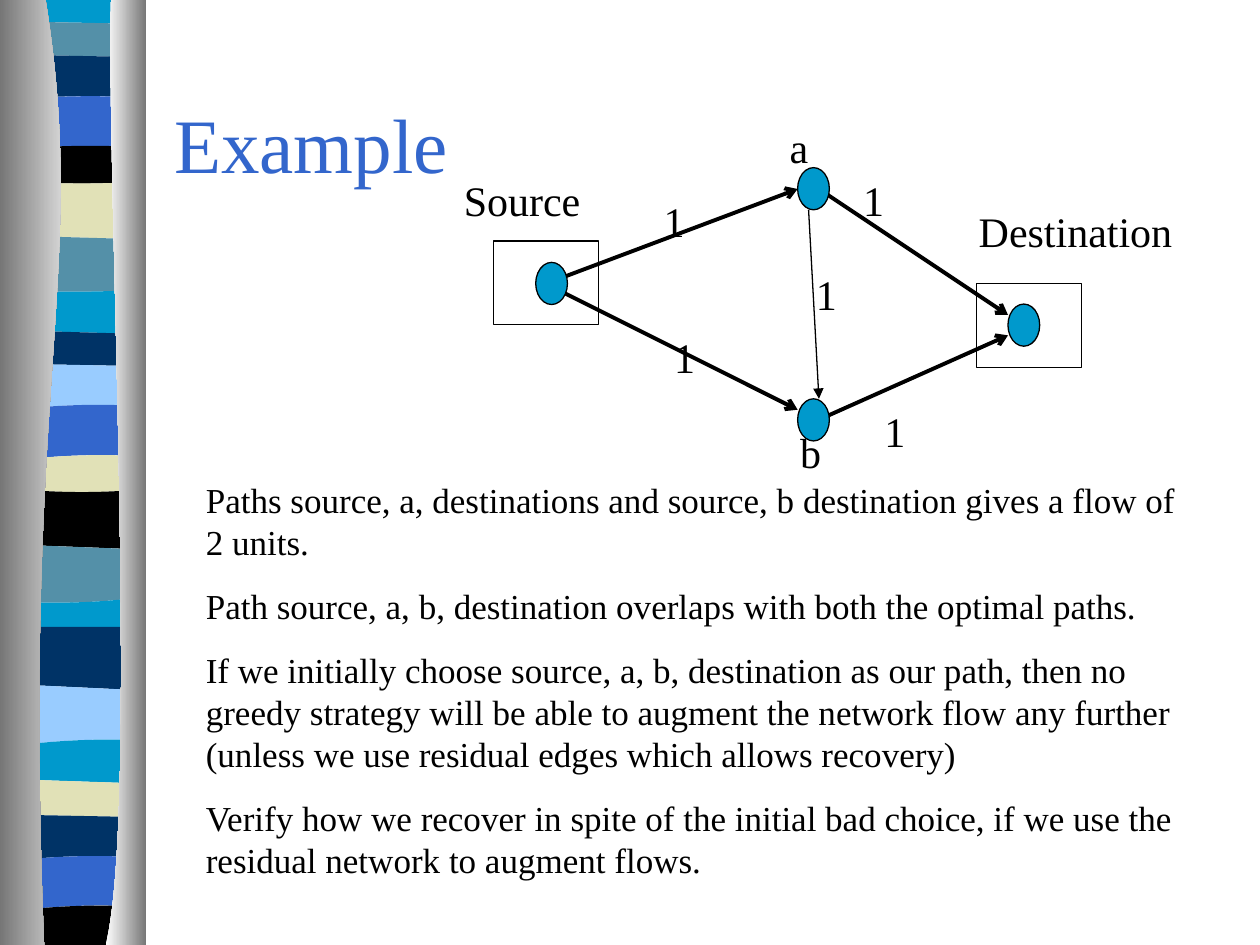
from lxml.etree import Element, SubElement
from pptx import Presentation
from pptx.dml.color import RGBColor
from pptx.enum.shapes import MSO_CONNECTOR, MSO_SHAPE
from pptx.enum.text import MSO_ANCHOR, MSO_AUTO_SIZE, PP_ALIGN
from pptx.oxml.ns import qn
from pptx.util import Cm, Pt

FONT = "Times New Roman"
BLACK = RGBColor(0x00, 0x00, 0x00)
WHITE = RGBColor(0xFF, 0xFF, 0xFF)
GRAY = RGBColor(0x76, 0x76, 0x76)
CYAN = RGBColor(0x00, 0x99, 0xCC)
TEAL = RGBColor(0x54, 0x90, 0xA8)
NAVY = RGBColor(0x00, 0x33, 0x66)
BLUE = RGBColor(0x33, 0x66, 0xCC)
SAND = RGBColor(0xE1, 0xE1, 0xB7)
SKY = RGBColor(0x99, 0xCC, 0xFF)

# Colour, top edge at the left, top edge at the right, bulge of that edge (cm)
STRIPES = [
    (CYAN, 0, 0, 0), (TEAL, 0.44, 0.48, 0), (NAVY, 1.11, 1.15, 0),
    (BLUE, 1.98, 1.96, -0.03), (BLACK, 2.98, 2.96, -0.03),
    (SAND, 3.67, 3.67, 0.03), (TEAL, 4.76, 4.82, 0),
    (CYAN, 5.87, 5.85, 0.02), (NAVY, 6.67, 6.73, 0), (SKY, 7.34, 7.38, 0),
    (BLUE, 8.23, 8.18, -0.04), (SAND, 9.25, 9.19, -0.04),
    (BLACK, 9.88, 9.88, 0.04), (TEAL, 10.99, 11.07, 0),
    (CYAN, 12.14, 12.06, 0.04), (NAVY, 12.64, 12.64, 0),
    (SKY, 13.81, 13.91, 0), (CYAN, 15, 14.92, -0.04),
    (SAND, 15.72, 15.79, 0), (NAVY, 16.43, 16.47, 0),
    (BLUE, 17.32, 17.28, -0.04), (BLACK, 18.33, 18.27, -0.04),
]

BODY = [
    "Paths source, a, destinations and source, b destination gives a flow of 2 units.",
    "Path source, a, b, destination overlaps with both the optimal paths.",
    "If we initially choose source, a, b, destination as our path, then no greedy "
    "strategy will be able to augment the network flow any further "
    "(unless we use residual edges which allows recovery)",
    "Verify how we recover in spite of the initial bad choice, if we use the "
    "residual network to augment flows.",
]

# Everything below is in cm from the corner of the diagram
FRAMES = [(0.95, 2.86), (10.69, 3.72)]
NODES = [(1.8, 3.29), (7.08, 1.38), (11.32, 4.13), (7.08, 6.04)]
EDGES = [
    ((2, 3.72), (7.08, 1.81), 2.25, "arrow"),
    ((2, 3.72), (7.08, 6.26), 2.25, "arrow"),
    ((7.51, 1.81), (11.32, 4.35), 2.25, "arrow"),
    ((7.51, 6.46), (11.32, 4.76), 2.25, "arrow"),
    ((7.3, 2.23), (7.51, 6.04), 0.75, "triangle"),
]
LABELS = [
    ("Source", 0.1, 1.39, 5.29), ("Destination", 10.48, 2.01, 5.29),
    ("1", 4.13, 1.81, 4.02), ("1", 8.15, 1.39, 4.02), ("1", 4.34, 4.55, 4.02),
    ("1", 8.58, 6.04, 4.02), ("1", 7.2, 3.28, 4.02),
    ("a", 6.67, 0.33, 1.27), ("b", 6.88, 6.47, 1.27),
]


def write(tf, lines, size, color=BLACK, space_before=0):
    tf.word_wrap = True
    for i, line in enumerate(lines):
        p = tf.paragraphs[0] if i == 0 else tf.add_paragraph()
        p.alignment = PP_ALIGN.LEFT
        p.space_before = Pt(space_before)
        r = p.add_run()
        r.text = line
        r.font.color.rgb = color
        for name, value in {"name": FONT, "size": Pt(size)}.items():
            setattr(r.font, name, value)


def add_text(s, x, y, w, h, lines, size, space_before=0):
    tb = s.shapes.add_textbox(Cm(x), Cm(y), Cm(w), Cm(h))
    write(tb.text_frame, lines, size, space_before=space_before)
    tb.text_frame.auto_size = MSO_AUTO_SIZE.SHAPE_TO_FIT_TEXT


def add_preset(s, kind, x, y, w, h, fill=None):
    sp = s.shapes.add_shape(kind, Cm(x), Cm(y), Cm(w), Cm(h))
    sp.shadow.inherit = False
    if fill is None:
        sp.fill.background()
    else:
        sp.fill.solid()
        sp.fill.fore_color.rgb = fill
    sp.line.color.rgb = BLACK
    sp.line.width = Pt(0.75)


def add_arrow(s, x1, y1, x2, y2, width, head):
    c = s.shapes.add_connector(MSO_CONNECTOR.STRAIGHT, Cm(x1), Cm(y1), Cm(x2), Cm(y2))
    c.line.color.rgb = BLACK
    c.line.width = Pt(width)
    props = c._element.spPr
    SubElement(props.find(qn("a:ln")), qn("a:tailEnd"), type=head)
    SubElement(props, qn("a:effectLst"))


def add_outline(s, start, segments, colors):
    """Closed shape in cm: one point makes a line, three a cubic curve.

    Two colours make a left-to-right gradient.
    """
    points = [(Cm(x), Cm(y)) for segment in segments for x, y in segment]
    builder = s.shapes.build_freeform(Cm(start[0]), Cm(start[1]))
    builder.add_line_segments(points, close=True)
    sp = builder.convert_to_shape()
    lines = iter(list(sp._element.iter(qn("a:lnTo"))))
    for segment in segments:
        parts = [next(lines) for _ in segment]
        if len(parts) == 3:
            curve = Element(qn("a:cubicBezTo"))
            parts[0].addprevious(curve)
            for part in parts:
                curve.append(part[0])
                part.getparent().remove(part)
    sp.shadow.inherit = False
    sp.line.fill.background()
    if len(colors) == 1:
        sp.fill.solid()
        sp.fill.fore_color.rgb = colors[0]
    else:
        sp.fill.gradient()
        sp.fill.gradient_angle = 0
        for stop, color in zip(sp.fill.gradient_stops, colors):
            stop.color.rgb = color
    return sp


def wave(x, y, w, left, right, bulge):
    """The four points of a cubic curve that bends by bulge in the middle."""
    return [(x + w * t, y + left + (right - left) * t + bend)
            for t, bend in zip((0, 1 / 3, 2 / 3, 1), (0, bulge * 4 / 3, bulge * 4 / 3, 0))]


def side_band(s, x, y, w, h):
    """Draws the band and moves it to the master, behind the placeholders."""
    parts = []
    edges = [stripe[1:] for stripe in STRIPES] + [(h, h, 0)]
    for (color, *_), top, bottom in zip(STRIPES, edges, edges[1:]):
        upper = wave(x + 0.6, y, 2.1, *top)
        lower = wave(x + 0.6, y, 2.1, *bottom)[::-1]
        segments = [upper[1:], lower[:1], lower[1:]]
        parts.append(add_outline(s, upper[0], segments, [color]))
    curve = [(x + 1.8, y + 5.5), (x + 0.43, y + 7.54), (x + 0.89, y + h)]
    segments = [curve, [(x, y + h)], [(x, y)]]
    parts.append(add_outline(s, (x + 0.92, y), segments, [GRAY, WHITE]))
    curve = [(x + 2.13, y + 3.2), (x + 2.82, y + 16.43), (x + 2.13, y + h)]
    segments = [curve, [(x + w, y + h)], [(x + w, y)]]
    parts.append(add_outline(s, (x + 2.24, y), segments, [WHITE, GRAY]))
    tree = s.slide_layout.slide_master.shapes.element
    for i, sp in enumerate(parts):
        sp._element.nvSpPr.cNvPr.set("id", str(100 + i))
        tree.insert(2 + i, sp._element)


def title(s, x, y, w, h):
    sp = s.shapes.title
    box = {"left": Cm(x), "top": Cm(y), "width": Cm(w), "height": Cm(h)}
    for name, value in box.items():
        setattr(sp, name, value)
    sp.text_frame.vertical_anchor = MSO_ANCHOR.MIDDLE
    write(sp.text_frame, ["Example"], 44, BLUE)


def flow_network(s, x, y):
    for dx, dy in FRAMES:
        add_preset(s, MSO_SHAPE.RECTANGLE, x + dx, y + dy, 2.12, 1.69)
    for (x1, y1), (x2, y2), width, head in EDGES:
        add_arrow(s, x + x1, y + y1, x + x2, y + y2, width, head)
    for dx, dy in NODES:
        add_preset(s, MSO_SHAPE.OVAL, x + dx, y + dy, 0.64, 0.85, CYAN)
    for text, dx, dy, w in LABELS:
        add_text(s, x + dx, y + dy, w, 1.27, [text], 24)


def main():
    prs = Presentation()
    prs.slide_width, prs.slide_height = Cm(25.4), Cm(19.05)
    s = prs.slides.add_slide(prs.slide_layouts[5])
    side_band(s, 0, 0, 2.95, 19.05)
    title(s, 3.26, 1.28, 21.59, 3.18)
    flow_network(s, 9, 2)
    add_text(s, 3.9, 9.53, 20.32, 8.36, BODY, 20, space_before=12.5)
    prs.save("out.pptx")


if __name__ == "__main__":
    main()
